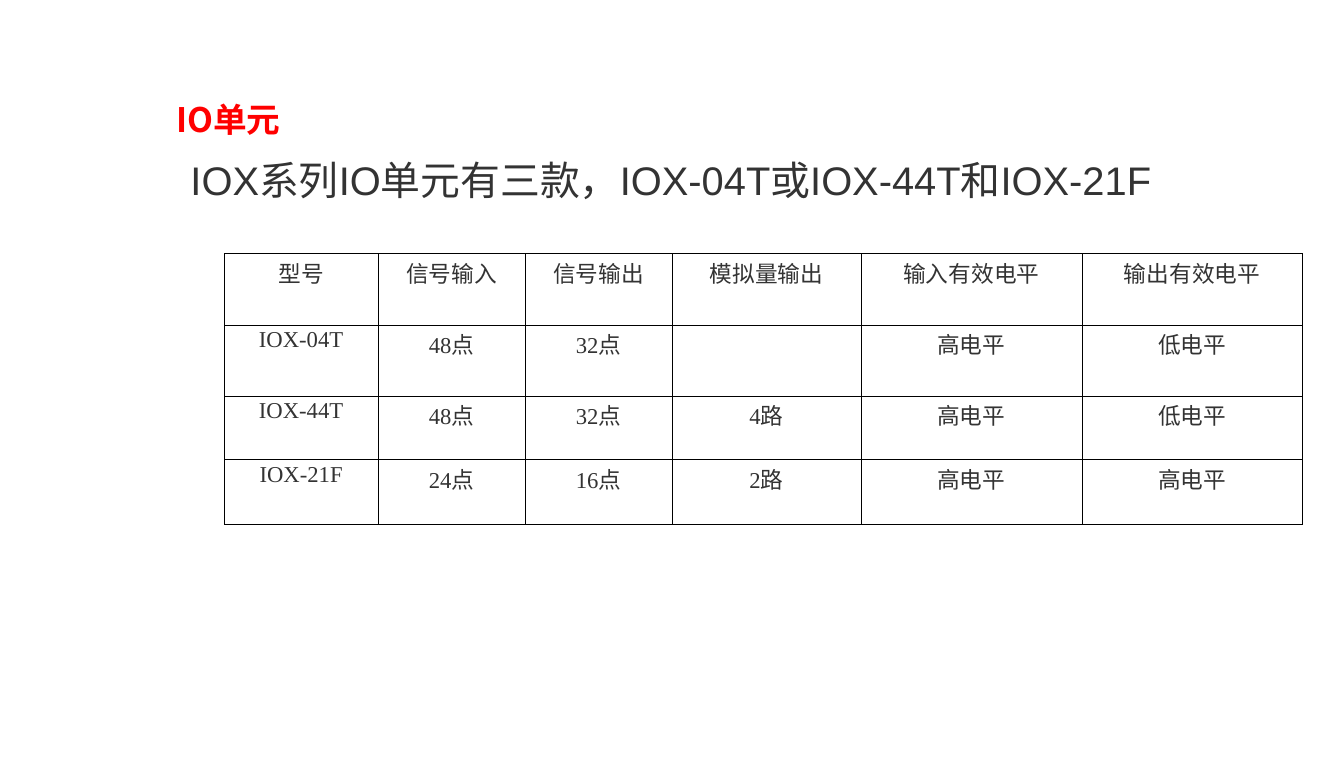
import pptx
import pptx.dml.color
import pptx.enum.text
import pptx.oxml
import pptx.oxml.ns
import pptx.util
from pptx.util import Inches

COLORS = {"title": "FF0000", "text": "333333", "border": "000000"}
COLUMN_WIDTHS = [3.11, 2.97, 2.97, 3.82, 4.46, 4.46]
ROW_HEIGHTS = [1.44, 1.44, 1.28, 1.31]
UNITS = [
    ["型号", "信号输入", "信号输出", "模拟量输出", "输入有效电平", "输出有效电平"],
    ["IOX-04T", "48点", "32点", "", "高电平", "低电平"],
    ["IOX-44T", "48点", "32点", "4路", "高电平", "低电平"],
    ["IOX-21F", "24点", "16点", "2路", "高电平", "高电平"],
]


def style_paragraph(paragraph, font_name, size, color, bold=False):
    font = paragraph.font
    font.name = font_name
    font.size = pptx.util.Pt(size)
    font.bold = bold
    font.color.rgb = pptx.dml.color.RGBColor.from_string(COLORS[color])


def set_margins(target, horizontal, vertical):
    target.margin_left = target.margin_right = Inches(horizontal)
    target.margin_top = target.margin_bottom = Inches(vertical)


def add_text(slide, box, text, font_name, size, color, bold=False):
    shape = slide.shapes.add_textbox(*map(Inches, box))
    frame = shape.text_frame
    frame.word_wrap = True
    frame.auto_size = pptx.enum.text.MSO_AUTO_SIZE.SHAPE_TO_FIT_TEXT
    set_margins(frame, 0.24, 0.12)
    paragraph = frame.paragraphs[0]
    paragraph.text = text
    style_paragraph(paragraph, font_name, size, color, bold)
    return paragraph


def add_borders(cell):
    properties = cell._tc.get_or_add_tcPr()
    for side in ("lnL", "lnR", "lnT", "lnB"):
        properties.append(pptx.oxml.parse_xml(
            f'<a:{side} {pptx.oxml.ns.nsdecls("a")} w="{pptx.util.Pt(0.45)}">'
            f'<a:solidFill><a:srgbClr val="{COLORS["border"]}"/></a:solidFill>'
            f'</a:{side}>'
        ))


def add_unit_table(slide, left, top):
    box = (left, top, sum(COLUMN_WIDTHS), sum(ROW_HEIGHTS))
    table = slide.shapes.add_table(
        len(ROW_HEIGHTS), len(COLUMN_WIDTHS), *map(Inches, box)
    ).table
    table.first_row = False
    table.horz_banding = False
    for column, width in zip(table.columns, COLUMN_WIDTHS):
        column.width = Inches(width)
    for row, height, values in zip(table.rows, ROW_HEIGHTS, UNITS):
        row.height = Inches(height)
        for cell, value in zip(row.cells, values):
            set_margins(cell, 0.2, 0.05)
            add_borders(cell)
            cell.fill.background()
            paragraph = cell.text_frame.paragraphs[0]
            paragraph.text = value
            paragraph.alignment = pptx.enum.text.PP_ALIGN.CENTER
            style_paragraph(paragraph, "Times New Roman", 33, "text")


def main():
    presentation = pptx.Presentation()
    presentation.slide_width = Inches(27.16)
    presentation.slide_height = Inches(15.35)
    slide = presentation.slides.add_slide(presentation.slide_layouts[6])
    add_text(slide, (3.32, 1.87, 9.62, 1.06), "IO单元",
             "Noto Sans CJK SC", 49, "title", bold=True)
    summary = add_text(slide, (3.61, 3.36, 22.07, 0.88),
                       "IOX系列IO单元有三款，IOX-04T或IOX-44T和IOX-21F",
                       "Arial", 58, "text")
    summary.line_spacing = pptx.util.Pt(45.5)
    add_unit_table(slide, 4.53, 5.12)
    presentation.save("out.pptx")


if __name__ == "__main__":
    main()
